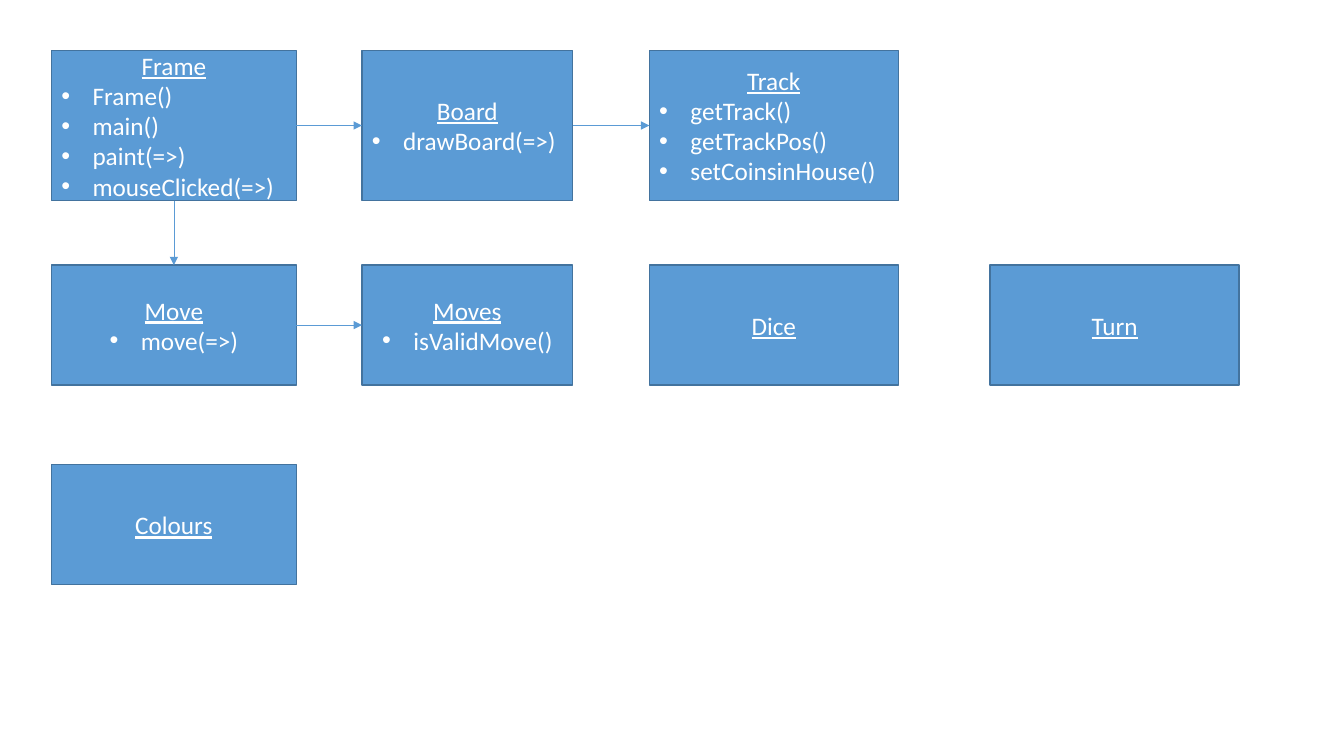
from lxml import etree
from pptx import Presentation
from pptx.dml.color import RGBColor
from pptx.enum.shapes import MSO_CONNECTOR, MSO_SHAPE
from pptx.enum.text import MSO_ANCHOR, PP_ALIGN
from pptx.oxml.ns import qn
from pptx.util import Inches, Pt

RECTANGLE = MSO_SHAPE.RECTANGLE
STRAIGHT = MSO_CONNECTOR.STRAIGHT
MIDDLE = MSO_ANCHOR.MIDDLE
LEFT, CENTER = PP_ALIGN.LEFT, PP_ALIGN.CENTER
SITE_TOP, SITE_LEFT, SITE_BOTTOM, SITE_RIGHT = range(4)

BLUE, DARK_BLUE, WHITE = "5B9BD5", "43739E", "FFFFFF"
BULLET_INDENT = Inches(0.31)

# Left edge and width of each column, top edge and height of each row
COLUMNS = [(0.51, 2.43), (3.59, 2.09), (6.44, 2.47), (9.82, 2.47)]
ROWS = [(0.5, 1.49), (2.63, 1.19), (4.61, 1.19)]

# Class name, column, row, methods, alignment of the methods
CLASSES = [
    ("Frame", 0, 0, ["Frame()", "main()", "paint(=>)", "mouseClicked(=>)"], LEFT),
    ("Board", 1, 0, ["drawBoard(=>)"], LEFT),
    ("Track", 2, 0, ["getTrack()", "getTrackPos()", "setCoinsinHouse()"], LEFT),
    ("Move", 0, 1, ["move(=>)"], CENTER),
    ("Moves", 1, 1, ["isValidMove()"], CENTER),
    ("Dice", 2, 1, [], CENTER),
    ("Turn", 3, 1, [], CENTER),
    ("Colours", 0, 2, [], CENTER),
]
ACROSS = (SITE_RIGHT, SITE_LEFT)
DOWN = (SITE_BOTTOM, SITE_TOP)
CALLS = [
    ("Frame", "Board", ACROSS),
    ("Board", "Track", ACROSS),
    ("Frame", "Move", DOWN),
    ("Move", "Moves", ACROSS),
]


def color(hex_string):
    """Turn a hex string into a colour."""
    return RGBColor.from_string(hex_string)


def add_bullet(paragraph):
    """Give a paragraph a hanging round bullet."""
    properties = paragraph._p.get_or_add_pPr()
    properties.set("marL", str(BULLET_INDENT))
    properties.set("indent", str(-BULLET_INDENT))
    etree.SubElement(properties, qn("a:buFont")).set("typeface", "Arial")
    etree.SubElement(properties, qn("a:buChar")).set("char", "•")


def add_class_box(slide, box, name, methods, method_alignment):
    """Draw one class with its underlined name and bulleted methods."""
    shape = slide.shapes.add_shape(RECTANGLE, *map(Inches, box))
    shape.shadow.inherit = False
    shape.fill.solid()
    shape.fill.fore_color.rgb = color(BLUE)
    shape.line.color.rgb = color(DARK_BLUE)
    shape.line.width = Pt(1)
    text_frame = shape.text_frame
    text_frame.word_wrap = True
    text_frame.vertical_anchor = MIDDLE
    text_frame.text = "\n".join([name] + methods)
    for index, paragraph in enumerate(text_frame.paragraphs):
        is_name = index == 0
        paragraph.alignment = CENTER if is_name else method_alignment
        if not is_name:
            add_bullet(paragraph)
        font = paragraph.runs[0].font
        font.name = "Calibri"
        font.size = Pt(18)
        font.color.rgb = color(WHITE)
        font.underline = is_name
    return shape


def add_call_arrow(slide, caller, called, sites):
    """Join two class boxes with an arrow that stays attached to them."""
    connector = slide.shapes.add_connector(STRAIGHT, 0, 0, 0, 0)
    connector.begin_connect(caller, sites[0])
    connector.end_connect(called, sites[1])
    connector.line.color.rgb = color(BLUE)
    connector.line.width = Pt(0.5)
    line = connector.line._get_or_add_ln()
    etree.SubElement(line, qn("a:tailEnd")).set("type", "triangle")
    etree.SubElement(connector._element.spPr, qn("a:effectLst"))


def add_class_diagram(slide):
    """Place all classes on the grid and join those that call each other."""
    boxes = {}
    for name, column, row, methods, alignment in CLASSES:
        left, width = COLUMNS[column]
        top, height = ROWS[row]
        box = (left, top, width, height)
        boxes[name] = add_class_box(slide, box, name, methods, alignment)
    for caller, called, sites in CALLS:
        add_call_arrow(slide, boxes[caller], boxes[called], sites)


def main():
    """Build the slide and save it."""
    presentation = Presentation()
    presentation.slide_width = Inches(13.33)
    presentation.slide_height = Inches(7.5)
    slide = presentation.slides.add_slide(presentation.slide_layouts[6])
    add_class_diagram(slide)
    presentation.save("out.pptx")


main()
